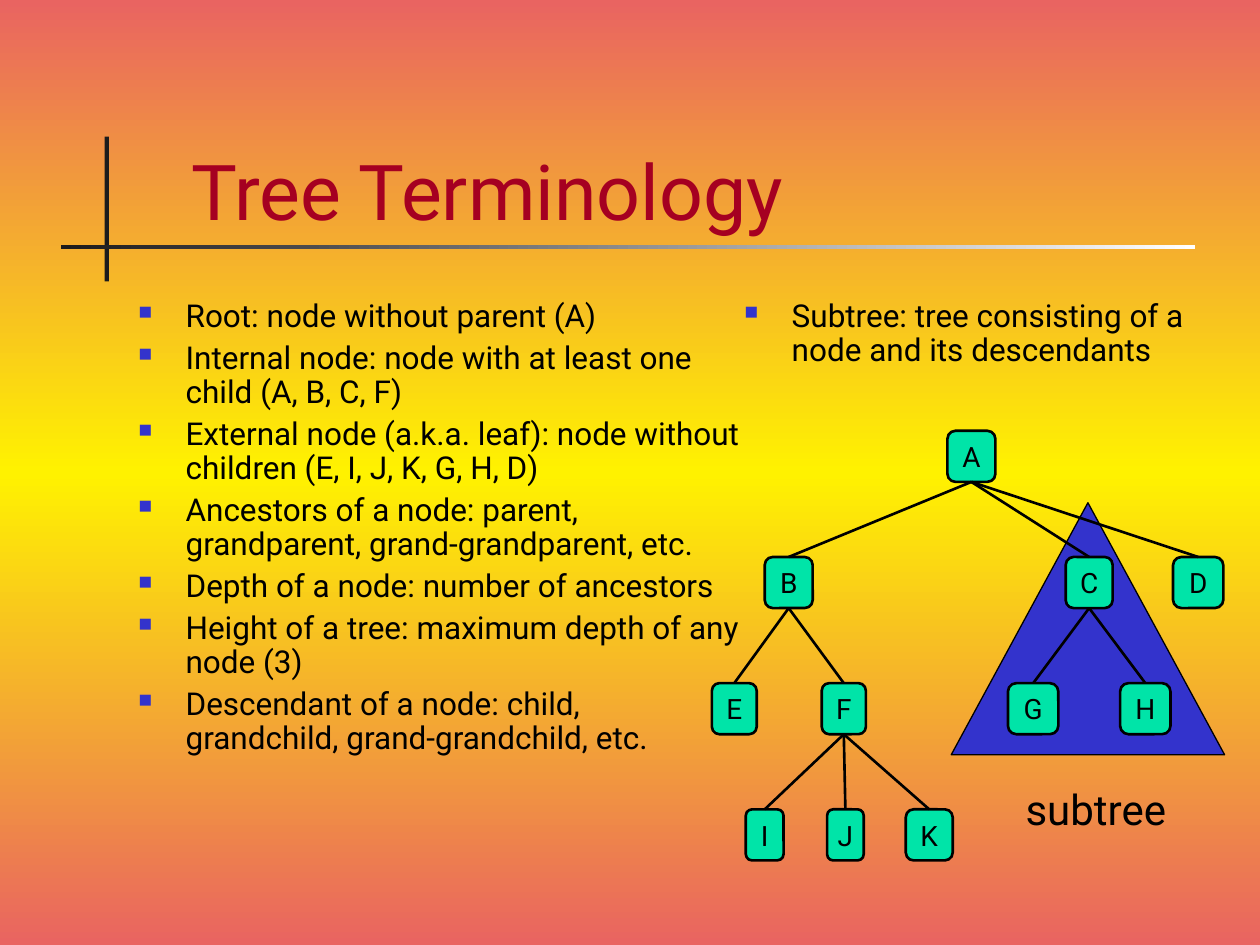
from copy import deepcopy
from dataclasses import dataclass
from typing import NamedTuple

from lxml import etree
from pptx import Presentation
from pptx.dml.color import RGBColor
from pptx.enum.shapes import MSO_CONNECTOR, MSO_SHAPE
from pptx.enum.text import MSO_ANCHOR, MSO_AUTO_SIZE, PP_ALIGN
from pptx.oxml.ns import qn
from pptx.util import Pt

RECTANGLE = MSO_SHAPE.RECTANGLE
ROUNDED = MSO_SHAPE.ROUNDED_RECTANGLE
TRIANGLE = MSO_SHAPE.ISOSCELES_TRIANGLE
STRAIGHT = MSO_CONNECTOR.STRAIGHT
LEFT, CENTER = PP_ALIGN.LEFT, PP_ALIGN.CENTER
BOTTOM, MIDDLE = MSO_ANCHOR.BOTTOM, MSO_ANCHOR.MIDDLE
NO_FIT = MSO_AUTO_SIZE.NONE
TOP_SIDE, BOTTOM_SIDE = 0, 2
TITLE_ONLY = 5


@dataclass(frozen=True)
class Theme:
    font: str = "Roboto"
    title: str = "A50021"
    ink: str = "000000"
    accent: str = "3333CC"
    node: str = "00E4A8"
    rule: str = "1C1C1C"
    rule_end: str = "FFFFFF"
    edge: str = "E96461"
    glow: str = "FFF200"
    title_size: float = 44
    caption_size: float = 24
    body_size: float = 18
    node_size: float = 16


class Box(NamedTuple):
    left: float
    top: float
    width: float
    height: float


class Node(NamedTuple):
    label: str
    center: float
    level: int
    width: float
    parent: str = ""


THEME = Theme()
FIRST_LEVEL, LEVEL_STEP, NODE_HEIGHT = 246.2, 72.1, 29.2

TERMS = [
    "Root: node without parent (A)",
    "Internal node: node with at least one child (A, B, C, F)",
    "External node (a.k.a. leaf): node without children (E, I, J, K, G, H, D)",
    "Ancestors of a node: parent, grandparent, grand-grandparent, etc.",
    "Depth of a node: number of ancestors",
    "Height of a tree: maximum depth of any node (3)",
    "Descendant of a node: child, grandchild, grand-grandchild, etc.",
]
SUBTREE_TERM = ["Subtree: tree consisting of a node and its descendants"]

TREE = [
    Node("A", 555.1, 0, 27.4),
    Node("B", 450.7, 1, 27.4, "A"),
    Node("C", 622.4, 1, 26.8, "A"),
    Node("D", 684.7, 1, 28.8, "A"),
    Node("E", 419.6, 2, 25.6, "B"),
    Node("F", 482.2, 2, 25.2, "B"),
    Node("G", 590.4, 2, 28.8, "C"),
    Node("H", 654.5, 2, 28.8, "C"),
    Node("I", 437, 3, 21.6, "F"),
    Node("J", 483.1, 3, 20.9, "F"),
    Node("K", 531, 3, 26.8, "F"),
]


def rgb(color: str) -> RGBColor:
    return RGBColor.from_string(color)


def points(box: Box) -> list:
    return [Pt(value) for value in box]


def style(paragraph, size: float, color: str = THEME.ink, align=LEFT) -> None:
    paragraph.alignment = align
    font = paragraph.font
    font.name, font.size = THEME.font, Pt(size)
    font.color.rgb = rgb(color)


def add_bullet(paragraph) -> None:
    properties = paragraph._p.get_or_add_pPr()
    properties.set("marL", str(Pt(27)))
    properties.set("indent", str(Pt(-27)))
    color = etree.SubElement(properties, qn("a:buClr"))
    etree.SubElement(color, qn("a:srgbClr"), val=THEME.accent)
    etree.SubElement(properties, qn("a:buSzPct"), val="60000")
    etree.SubElement(properties, qn("a:buChar"), char="■")


def color_stops(fill, colors: list) -> None:
    for index, (stop, color) in enumerate(zip(fill.gradient_stops, colors)):
        stop.color.rgb = rgb(color)
        stop.position = index / (len(colors) - 1)


def paint_background(slide) -> None:
    fill = slide.background.fill
    fill.gradient()
    fill.gradient_angle = 90
    first_stop = slide.element.find(".//" + qn("a:gs"))
    first_stop.addnext(deepcopy(first_stop))
    color_stops(slide.background.fill, [THEME.edge, THEME.glow, THEME.edge])


def add_figure(slide, kind, box: Box, color: str, line_width: float = 0):
    figure = slide.shapes.add_shape(kind, *points(box))
    figure.shadow.inherit = False
    figure.fill.solid()
    figure.fill.fore_color.rgb = rgb(color)
    if line_width:
        figure.line.color.rgb = rgb(THEME.ink)
        figure.line.width = Pt(line_width)
    else:
        figure.line.fill.background()
    return figure


def add_terms(slide, box: Box, terms: list) -> None:
    frame = slide.shapes.add_textbox(*points(box)).text_frame
    frame.word_wrap = True
    for index, term in enumerate(terms):
        paragraph = frame.add_paragraph() if index else frame.paragraphs[0]
        paragraph.text = term
        add_bullet(paragraph)
        paragraph.line_spacing = 0.9
        paragraph.space_before = Pt(4.5 if index else 0)
        style(paragraph, THEME.body_size)


def add_node(slide, node: Node):
    box = Box(node.center - node.width / 2, FIRST_LEVEL + node.level * LEVEL_STEP,
              node.width, NODE_HEIGHT)
    figure = add_figure(slide, ROUNDED, box, THEME.node, 1.5)
    frame = figure.text_frame
    frame.word_wrap = False
    frame.vertical_anchor = MIDDLE
    frame.text = node.label
    style(frame.paragraphs[0], THEME.node_size, align=CENTER)
    return figure


def add_branch(slide, parent, child) -> None:
    branch = slide.shapes.add_connector(STRAIGHT, 0, 0, 0, 0)
    branch.begin_connect(parent, BOTTOM_SIDE)
    branch.end_connect(child, TOP_SIDE)
    branch.line.color.rgb = rgb(THEME.ink)
    branch.line.width = Pt(1.5)
    etree.SubElement(branch._element.spPr, qn("a:effectLst"))


def main() -> None:
    deck = Presentation()
    deck.slide_width, deck.slide_height = Pt(720), Pt(540)
    slide = deck.slides.add_slide(deck.slide_layouts[TITLE_ONLY])
    paint_background(slide)

    # Crossed rules beside and below the title
    add_figure(slide, RECTANGLE, Box(59.8, 78, 2.4, 82.8), THEME.rule)
    fading_rule = add_figure(slide, RECTANGLE, Box(34.8, 140, 648, 2.5), THEME.rule)
    fading_rule.fill.gradient()
    fading_rule.fill.gradient_angle = 0
    color_stops(fading_rule.fill, [THEME.rule, THEME.rule_end])

    # Title
    title = slide.shapes.title
    title.left, title.top, title.width, title.height = points(Box(102, 48.4, 602, 90))
    title.text_frame.text = "Tree Terminology"
    title.text_frame.vertical_anchor = BOTTOM
    title.text_frame.auto_size = NO_FIT
    style(title.text_frame.paragraphs[0], THEME.title_size, THEME.title)

    # Definitions: the left column ends short of node E
    add_terms(slide, Box(72, 168, 358.4, 360), TERMS)
    add_terms(slide, Box(418.3, 168, 276, 78), SUBTREE_TERM)

    # Tree with its highlighted subtree
    add_figure(slide, TRIANGLE, Box(543.6, 287.3, 156.2, 144), THEME.accent, 0.75)
    figures = {node.label: add_node(slide, node) for node in TREE}
    for node in TREE:
        if node.parent:
            add_branch(slide, figures[node.parent], figures[node.label])

    # Subtree caption
    caption = slide.shapes.add_textbox(*points(Box(579, 444.2, 100.8, 36))).text_frame
    caption.word_wrap = False
    caption.text = "subtree"
    style(caption.paragraphs[0], THEME.caption_size)

    deck.save("out.pptx")


if __name__ == "__main__":
    main()
